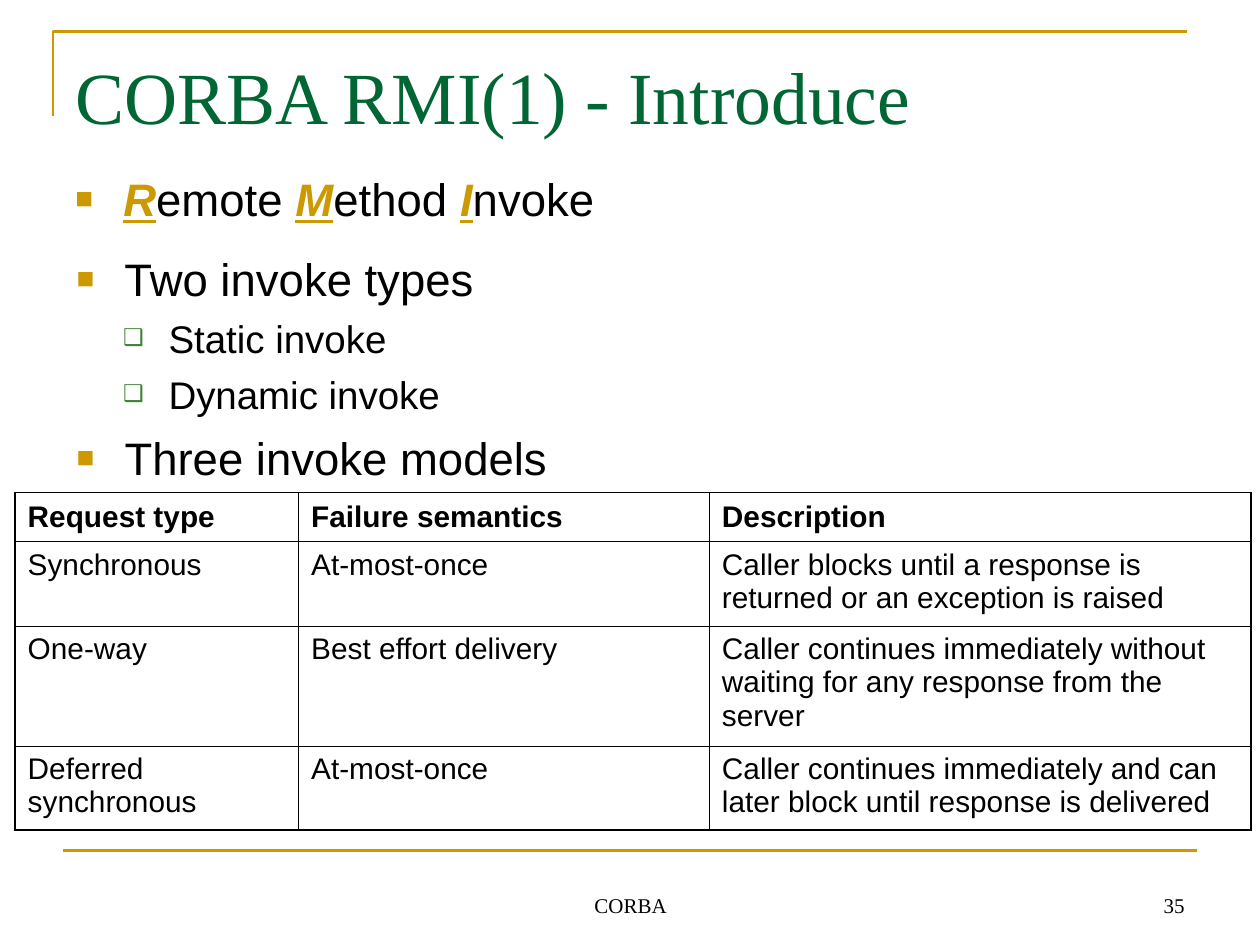
from lxml import etree
from pptx import Presentation
from pptx.dml.color import RGBColor
from pptx.enum.shapes import MSO_CONNECTOR
from pptx.enum.text import MSO_ANCHOR, PP_ALIGN
from pptx.oxml.ns import qn
from pptx.util import Inches, Pt

TOP, MIDDLE, BOTTOM = MSO_ANCHOR.TOP, MSO_ANCHOR.MIDDLE, MSO_ANCHOR.BOTTOM
LEFT, CENTER, RIGHT = PP_ALIGN.LEFT, PP_ALIGN.CENTER, PP_ALIGN.RIGHT
STRAIGHT = MSO_CONNECTOR.STRAIGHT

GOLD, GREEN, LEAF, BLACK = "CC9900", "006633", "3B812F", "000000"
SERIF, SANS = "Times New Roman", "Arial"

FOOTER = {"name": SERIF, "size": Pt(12), "color": BLACK}
HEADING = {"name": SERIF, "size": Pt(42), "color": GREEN}
POINT = {"name": SANS, "size": Pt(26), "color": BLACK}
INITIAL = {**POINT, "color": GOLD, "bold": True, "italic": True, "underline": True}
SUBPOINT = {**POINT, "size": Pt(22)}
BODY_CELL = {"name": SANS, "size": Pt(17), "color": BLACK, "bold": False}
HEADER_CELL = {**BODY_CELL, "bold": True}

LEVELS = [
    {"indent": 0.38, "hanging": 0.38, "before": 6.5, "mark": "■", "color": GOLD, "percent": 65},
    {"indent": 0.73, "hanging": 0.36, "before": 5.5, "mark": "❑", "color": LEAF, "percent": 60},
]

ACRONYM = [(0, [("R", INITIAL), ("emote ", POINT), ("M", INITIAL),
                ("ethod ", POINT), ("I", INITIAL), ("nvoke", POINT)])]
INVOKE_TYPES = [
    (0, [("Two invoke types", POINT)]),
    (1, [("Static invoke", SUBPOINT)]),
    (1, [("Dynamic invoke", SUBPOINT)]),
]
INVOKE_MODELS = [(0, [("Three invoke models", POINT)])]

REQUESTS = [
    ("Request type", "Failure semantics", "Description"),
    ("Synchronous", "At-most-once",
     "Caller blocks until a response is returned or an exception is raised"),
    ("One-way", "Best effort delivery",
     "Caller continues immediately without waiting for any response from the server"),
    ("Deferred synchronous", "At-most-once",
     "Caller continues immediately and can later block until response is delivered"),
]
COLUMN_WIDTHS = [2.25, 3.26, 4.3]
ROW_HEIGHTS = [0.39, 0.67, 0.95, 0.67]
OUTER, INNER = 1.08, 0.45


def rgb(color):
    """Turn a hex string into a colour."""
    return RGBColor.from_string(color)


def add_run(paragraph, text, style):
    """Append a run with the given font values."""
    run = paragraph.add_run()
    run.text = text
    for attribute, value in style.items():
        if attribute == "color":
            run.font.color.rgb = rgb(value)
        else:
            setattr(run.font, attribute, value)


def add_frame(slide, box, anchor):
    """Add a wrapping text box and return its text frame."""
    frame = slide.shapes.add_textbox(*map(Inches, box)).text_frame
    frame.word_wrap = True
    frame.vertical_anchor = anchor
    return frame


def add_label(slide, box, text, style, align=LEFT):
    """Place one line of text at the bottom of its box."""
    paragraph = add_frame(slide, box, BOTTOM).paragraphs[0]
    paragraph.alignment = align
    add_run(paragraph, text, style)


def set_bullet(paragraph, level):
    """Give a paragraph the indent, spacing and bullet of its level."""
    look = LEVELS[level]
    paragraph.level = level
    paragraph.space_before = Pt(look["before"])
    properties = paragraph._p.get_or_add_pPr()
    properties.set("marL", str(Inches(look["indent"])))
    properties.set("indent", str(-Inches(look["hanging"])))
    color = etree.SubElement(properties, qn("a:buClr"))
    etree.SubElement(color, qn("a:srgbClr"), val=look["color"])
    etree.SubElement(properties, qn("a:buSzPct"), val=str(look["percent"] * 1000))
    etree.SubElement(properties, qn("a:buFont"), typeface=SANS)
    etree.SubElement(properties, qn("a:buChar"), char=look["mark"])


def add_bullets(slide, box, points):
    """Fill a box with bulleted points."""
    frame = add_frame(slide, box, TOP)
    for index, (level, runs) in enumerate(points):
        paragraph = frame.add_paragraph() if index else frame.paragraphs[0]
        set_bullet(paragraph, level)
        for text, style in runs:
            add_run(paragraph, text, style)


def add_corner(slide, box):
    """Draw the open corner along the left and top of a box."""
    left, top, width, height = map(Inches, box)
    builder = slide.shapes.build_freeform(left, top + height)
    builder.add_line_segments([(left, top), (left + width, top)], close=False)
    corner = builder.convert_to_shape()
    corner.shadow.inherit = False
    corner.fill.background()
    corner.line.color.rgb = rgb(GOLD)
    corner.line.width = Pt(1.5)


def add_rule(slide, left, top, width):
    """Draw a horizontal rule."""
    rule = slide.shapes.add_connector(
        STRAIGHT, Inches(left), Inches(top), Inches(left + width), Inches(top))
    rule.line.color.rgb = rgb(GOLD)
    rule.line.width = Pt(1.5)
    etree.SubElement(rule._element.spPr, qn("a:effectLst"))


def set_borders(cell, widths):
    """Draw the left, right, top and bottom borders of a cell."""
    properties = cell._tc.get_or_add_tcPr()
    for index, (side, width) in enumerate(zip("LRTB", widths)):
        border = etree.Element(qn(f"a:ln{side}"), w=str(Pt(width)))
        fill = etree.SubElement(border, qn("a:solidFill"))
        etree.SubElement(fill, qn("a:srgbClr"), val=BLACK)
        properties.insert(index, border)


def add_request_table(slide, left, top):
    """Place the table of request types with a heavier outer border."""
    last_row, last_column = len(ROW_HEIGHTS) - 1, len(COLUMN_WIDTHS) - 1
    table = slide.shapes.add_table(
        len(ROW_HEIGHTS), len(COLUMN_WIDTHS), Inches(left), Inches(top),
        Inches(sum(COLUMN_WIDTHS)), Inches(sum(ROW_HEIGHTS))).table
    table.first_row = table.horz_banding = False
    for column, width in zip(table.columns, COLUMN_WIDTHS):
        column.width = Inches(width)
    for r, texts in enumerate(REQUESTS):
        table.rows[r].height = Inches(ROW_HEIGHTS[r])
        for c, text in enumerate(texts):
            cell = table.cell(r, c)
            cell.fill.background()
            cell.vertical_anchor = TOP if r else MIDDLE
            paragraph = cell.text_frame.paragraphs[0]
            paragraph.space_before = Pt(4.2)
            add_run(paragraph, text, BODY_CELL if r else HEADER_CELL)
            edges = (c == 0, c == last_column, r == 0, r == last_row)
            set_borders(cell, [OUTER if edge else INNER for edge in edges])


def add_frame_lines(slide):
    """Draw the decorative lines and the footer."""
    add_corner(slide, (0.42, 0.25, 9, 0.67))
    add_rule(slide, 0.5, 6.75, 9)
    add_label(slide, (3.42, 6.83, 3.17, 0.5), "CORBA", FOOTER, CENTER)
    add_label(slide, (7.17, 6.83, 2.33, 0.5), "35", FOOTER, RIGHT)


def main():
    """Build the slide and save it."""
    deck = Presentation()
    deck.slide_width, deck.slide_height = Inches(10), Inches(7.5)
    slide = deck.slides.add_slide(deck.slide_layouts[6])
    add_frame_lines(slide)
    add_label(slide, (0.5, 0.3, 9, 0.85), "CORBA RMI(1) - Introduce", HEADING)
    add_bullets(slide, (0.5, 1.31, 8.75, 0.58), ACRONYM)
    add_bullets(slide, (0.51, 1.94, 8.9, 1.42), INVOKE_TYPES)
    add_bullets(slide, (0.51, 3.36, 8.75, 0.58), INVOKE_MODELS)
    add_request_table(slide, 0.12, 3.91)
    deck.save("out.pptx")


if __name__ == "__main__":
    main()
